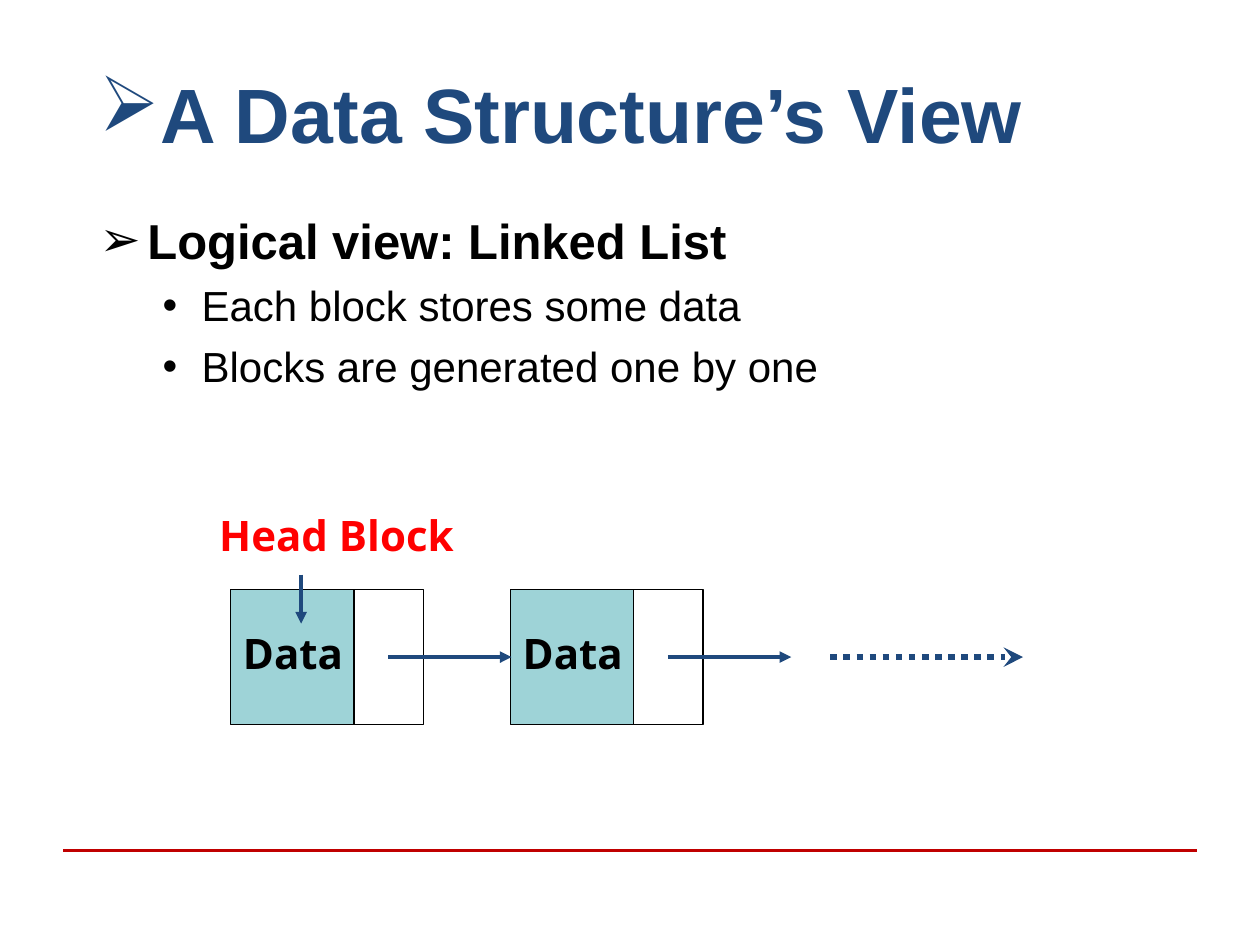
from lxml import etree
from pptx import Presentation
from pptx.dml.color import RGBColor
from pptx.enum.dml import MSO_LINE_DASH_STYLE as Dash
from pptx.enum.shapes import MSO_CONNECTOR as Connector, MSO_SHAPE as Shape
from pptx.enum.text import MSO_ANCHOR as Anchor, MSO_AUTO_SIZE as AutoSize, PP_ALIGN as Align
from pptx.oxml.ns import qn
from pptx.util import Inches, Pt

NAVY = RGBColor(0x1F, 0x49, 0x7D)
TEAL = RGBColor(0x9E, 0xD3, 0xD7)
CRIMSON = RGBColor(0xC0, 0x00, 0x00)
RED = RGBColor(0xFF, 0x00, 0x00)
BLACK = RGBColor(0x00, 0x00, 0x00)
WHITE = RGBColor(0xFF, 0xFF, 0xFF)


def place(item, left, top, width, height):
    box = dict(left=left, top=top, width=width, height=height)
    for name, value in box.items():
        setattr(item, name, Inches(value))


def write(para, text, color, align=Align.LEFT, **font):
    """Put one formatted span into a paragraph."""
    span = para.add_run()
    span.text = text
    span.font.color.rgb = color
    for name, value in font.items():
        setattr(span.font, name, value)
    para.alignment = align


def set_bullet(para, mark, font, margin=0, hanging=0):
    props = para._p.get_or_add_pPr()
    props.set("marL", str(Inches(margin)))
    props.set("indent", str(-Inches(hanging)))
    etree.SubElement(props, qn("a:buFont"), typeface=font)
    etree.SubElement(props, qn("a:buChar"), char=mark)


def add_line(page, start, end, color, width, head=None, dash=None):
    points = [Inches(value) for value in (*start, *end)]
    line = page.shapes.add_connector(Connector.STRAIGHT, *points)
    line.line.color.rgb = color
    line.line.width = Pt(width)
    if dash:
        line.line.dash_style = dash
    if head:
        etree.SubElement(line.line._get_or_add_ln(), qn("a:tailEnd"), type=head)
    etree.SubElement(line._element.spPr, qn("a:effectLst"))


def add_title(page, *box):
    title = page.shapes.title
    place(title, *box)
    frame = title.text_frame
    frame.vertical_anchor = Anchor.MIDDLE
    frame.auto_size = AutoSize.NONE
    para = frame.paragraphs[0]
    write(para, "A Data Structure’s View", NAVY, name="Arial", size=Pt(44), bold=True)
    set_bullet(para, "Ø", "Wingdings")


def add_points(page, *box):
    body = page.placeholders[1]
    place(body, *box)
    frame = body.text_frame
    frame.auto_size = AutoSize.NONE
    points = [
        (0, "Logical view: Linked List"),
        (1, "Each block stores some data"),
        (1, "Blocks are generated one by one"),
    ]
    # Size, bold, space before, and bullet for each level
    levels = [
        (28, True, 5, ("➢", "Arial", 0.38, 0.38)),
        (24, False, 6, ("•", "Arial", 0.81, 0.31)),
    ]
    for index, (level, text) in enumerate(points):
        para = frame.add_paragraph() if index else frame.paragraphs[0]
        size, bold, space, bullet = levels[level]
        para.level = level
        para.space_before = Pt(space)
        write(para, text, BLACK, name="Arial", size=Pt(size), bold=bold)
        set_bullet(para, *bullet)


def add_cell(page, fill, *box):
    cell = page.shapes.add_shape(Shape.RECTANGLE, *map(Inches, box))
    cell.shadow.inherit = False
    cell.fill.solid()
    cell.fill.fore_color.rgb = fill
    cell.line.color.rgb = BLACK
    cell.line.width = Pt(0.75)
    return cell


def add_block(page, left, top, height):
    """Draw a list node: data cell, pointer cell and arrow to the next node."""
    data = add_cell(page, TEAL, left, top, 1.11, height)
    frame = data.text_frame
    frame.vertical_anchor = Anchor.MIDDLE
    para = frame.paragraphs[0]
    para.line_spacing = 0.8
    write(para, "Data", BLACK, name="Noto Sans", size=Pt(24), bold=True)
    add_cell(page, WHITE, left + 0.98, top, 0.55, height)
    middle = top + height / 2
    return (left + 1.25, middle), (left + 2.23, middle)


def add_linked_list(page, left, top, height):
    pitch = 2.22
    arrows = [add_block(page, left + pitch * index, top, height) for index in range(2)]
    for start, end in arrows:
        add_line(page, start, end, NAVY, 2.25, "triangle")
    # Dotted arrow to the blocks that follow
    middle = top + height / 2
    add_line(page, (left + 4.76, middle), (left + 6.29, middle), NAVY, 3.75,
             "stealth", Dash.ROUND_DOT)
    # Label and arrow for the head
    label = page.shapes.add_textbox(*map(Inches, (left - 0.41, top - 0.61, 2.5, 0.42)))
    label.text_frame.word_wrap = True
    para = label.text_frame.paragraphs[0]
    para.line_spacing = 0.8
    write(para, "Head Block", RED, Align.CENTER, name="Noto Sans", size=Pt(24), bold=True)
    add_line(page, (left + 0.56, top - 0.12), (left + 0.56, top + 0.27), NAVY, 2.25, "triangle")


def main():
    deck = Presentation()
    deck.slide_width, deck.slide_height = Inches(10), Inches(7.5)
    page = deck.slides.add_slide(deck.slide_layouts[1])
    add_line(page, (0.5, 6.75), (9.5, 6.75), CRIMSON, 1.5)  # footer rule
    add_points(page, 0.69, 1.62, 8.63, 5.15)
    add_title(page, 0.69, 0.4, 8.63, 0.99)
    add_linked_list(page, 1.83, 4.68, 1.07)
    deck.save("out.pptx")


if __name__ == "__main__":
    main()
